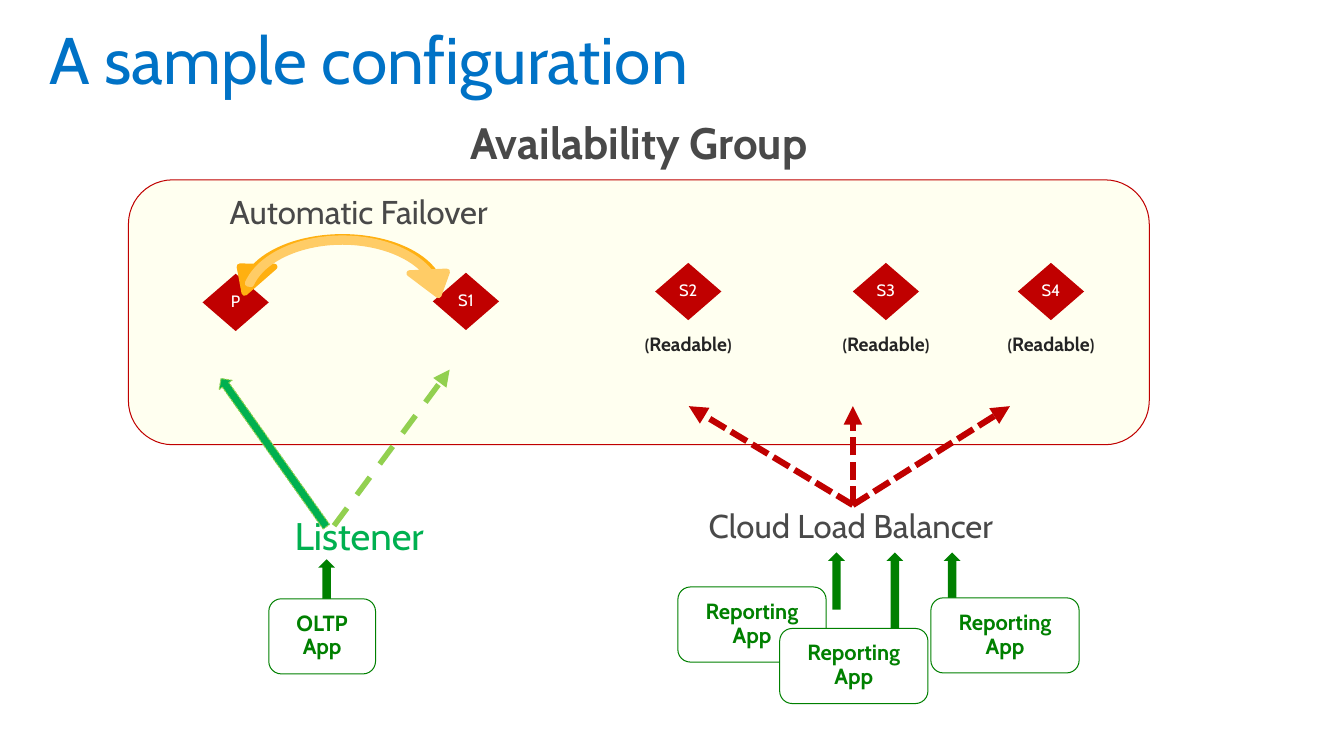
from dataclasses import dataclass

from pptx import Presentation
from pptx.dml.color import RGBColor
from pptx.enum.dml import MSO_LINE as DASH
from pptx.enum.shapes import MSO_CONNECTOR, MSO_SHAPE as SHAPE
from pptx.enum.text import MSO_ANCHOR as ANCHOR, PP_ALIGN as ALIGN
from pptx.oxml.ns import qn
from pptx.util import Pt
from lxml.etree import SubElement

PX = 9144  # 100 px to the inch


@dataclass(frozen=True)
class Theme:
    font: str = "Cabin"
    title: str = "0072C6"
    text: str = "494949"
    dark: str = "242424"
    white: str = "FFFFFF"
    panel: str = "FFFFCC"
    red: str = "C00000"
    app: str = "008000"
    listener: str = "00B050"
    standby: str = "92D050"
    back_arc: str = "FFB011"
    front_arc: str = "FFCC66"
    title_size: int = 48
    heading_size: int = 32
    listener_size: int = 28
    label_size: int = 24
    app_size: int = 16
    readable_size: int = 14
    node_size: int = 12


T = Theme()


def rgb(color):
    return RGBColor.from_string(color)


def emu(*lengths):
    return [n * PX for n in lengths]


def write(sp, text, size, color, bold=False, align=ALIGN.CENTER, inset=(0, 0),
          anchor=ANCHOR.TOP, spacing=0.9, wrap=True):
    tf = sp.text_frame
    tf.word_wrap = wrap
    tf.vertical_anchor = anchor
    tf.margin_left = tf.margin_right = inset[0] * PX
    tf.margin_top = tf.margin_bottom = inset[1] * PX
    p = tf.paragraphs[0]
    p.alignment, p.line_spacing = align, spacing
    p.add_run().text = text
    p.font.name, p.font.size, p.font.bold = T.font, Pt(size), bold
    p.font.color.rgb = rgb(color)
    return p


def add_label(s, box, text, size, color, **style):
    style = {"inset": (20, 16), **style}
    return write(s.shapes.add_textbox(*emu(*box)), text, size, color, **style)


def add_shape(s, kind, box, fill, line=None, width=0.75):
    sp = s.shapes.add_shape(kind, *emu(*box))
    sp.shadow.inherit = False
    sp.fill.solid()
    sp.fill.fore_color.rgb = rgb(fill)
    if line:
        sp.line.color.rgb = rgb(line)
        sp.line.width = Pt(width)
    else:
        sp.line.fill.background()
    return sp


def add_arrow(s, start, end, color, width, dash):
    c = s.shapes.add_connector(MSO_CONNECTOR.STRAIGHT, *emu(*start, *end))
    c.line.color.rgb = rgb(color)
    c.line.width = Pt(width)
    c.line.dash_style = dash
    SubElement(c.line._get_or_add_ln(), qn("a:tailEnd"), type="triangle")
    SubElement(c._element.spPr, qn("a:effectLst"))


def add_app(s, box, text):
    sp = add_shape(s, SHAPE.FLOWCHART_ALTERNATE_PROCESS, box, T.white, T.app)
    write(sp, text, T.app_size, T.app, bold=True, inset=(10, 10))


def add_node(s, x, y, name, readable):
    sp = add_shape(s, SHAPE.FLOWCHART_DECISION, (x, y, 67, 58), T.red)
    write(sp, name, T.node_size, T.white, anchor=ANCHOR.MIDDLE, wrap=False)
    if readable:
        p = add_label(s, (x - 17, y + 68, 101, 30), "(", T.node_size, T.dark,
                      bold=True, inset=(0, 0), anchor=ANCHOR.MIDDLE)
        r = p.add_run()
        r.text = "Readable"
        r.font.size = Pt(T.readable_size)
        p.add_run().text = ")"


def add_arc(s, box, color, adjustments, flip):
    sp = add_shape(s, SHAPE.CIRCULAR_ARROW, box, color, color, 4.5)
    for i, value in enumerate(adjustments):
        sp.adjustments[i] = value
    if flip:
        sp._element.spPr.get_or_add_xfrm().set("flipH", "1")


def add_availability_group(s, x, y, w, h):
    add_label(s, (x, y - 75, w, 81), "Availability Group",
              T.heading_size, T.text, bold=True)

    # Translucent panel
    panel = add_shape(s, SHAPE.ROUNDED_RECTANGLE, (x, y, w, h), T.panel, T.red)
    color = panel._element.spPr.find(qn("a:solidFill"))[0]
    SubElement(color, qn("a:alpha"), val="28000")

    # Replicas
    for dx, dy, name, readable in [(75, 95, "P", False), (308, 94, "S1", False),
                                   (533, 84, "S2", True), (733, 84, "S3", True),
                                   (900, 84, "S4", True)]:
        add_node(s, x + dx, y + dy, name, readable)

    # Failover between primary and first secondary
    add_label(s, (x + 58, y, 350, 69), "Automatic Failover", T.label_size, T.text)
    add_arc(s, (x + 100, y + 42, 233, 146), T.back_arc,
            (0.02, 10.22, 205.55, 111.96, 0.12), True)
    add_arc(s, (x + 100, y + 42, 233, 158), T.front_arc,
            (0.02, 8.91, 205.55, 113.76, 0.12), False)


def add_listener(s, x, y, w, h):
    add_label(s, (x, y + 141, w, 75), "Listener", T.listener_size, T.listener)

    # Routes to the standby and the primary
    add_arrow(s, (x + 158, y + 166), (x + 275, y + 8), T.standby, 4, DASH.DASH)
    route = add_shape(s, SHAPE.UP_ARROW, (x + 89, y, 16, 184),
                      T.listener, T.standby, 0)
    route.line.dash_style = DASH.SQUARE_DOT
    route.rotation = 324.6

    # Client
    add_shape(s, SHAPE.UP_ARROW, (x + 142, y + 200, 17, 58), T.app)
    add_app(s, (x + 92, y + h - 76, 108, 76), "OLTP App")


def add_load_balancer(s, x, y, w, h):
    add_label(s, (x + 11, y + 89, w - 11, 69), "Cloud Load Balancer",
              T.label_size, T.text, align=ALIGN.LEFT)

    # Routes to the readable replicas
    for dx in (11, 177, 336):
        add_arrow(s, (x + 177, y + 100), (x + dx, y), T.red, 4.5, DASH.SQUARE_DOT)

    # Clients
    for dx, length in [(152, 58), (211, 92), (269, 108)]:
        add_shape(s, SHAPE.UP_ARROW, (x + dx, y + 148, 17, length), T.app)
    for dx, rise in [(0, 118), (103, 76), (256, 107)]:
        add_app(s, (x + dx, y + h - rise, 150, 76), "Reporting App")


def main():
    prs = Presentation()
    prs.slide_width, prs.slide_height = emu(1360, 765)
    s = prs.slides.add_slide(prs.slide_layouts[6])
    add_label(s, (40, 40, 1081, 76), "A sample configuration", T.title_size,
              T.title, align=ALIGN.LEFT, inset=(10, 10), spacing=Pt(35))
    add_availability_group(s, 130, 182, 1033, 268)
    add_listener(s, 180, 366, 367, 316)
    add_load_balancer(s, 686, 411, 536, 301)
    prs.save("out.pptx")


if __name__ == "__main__":
    main()
